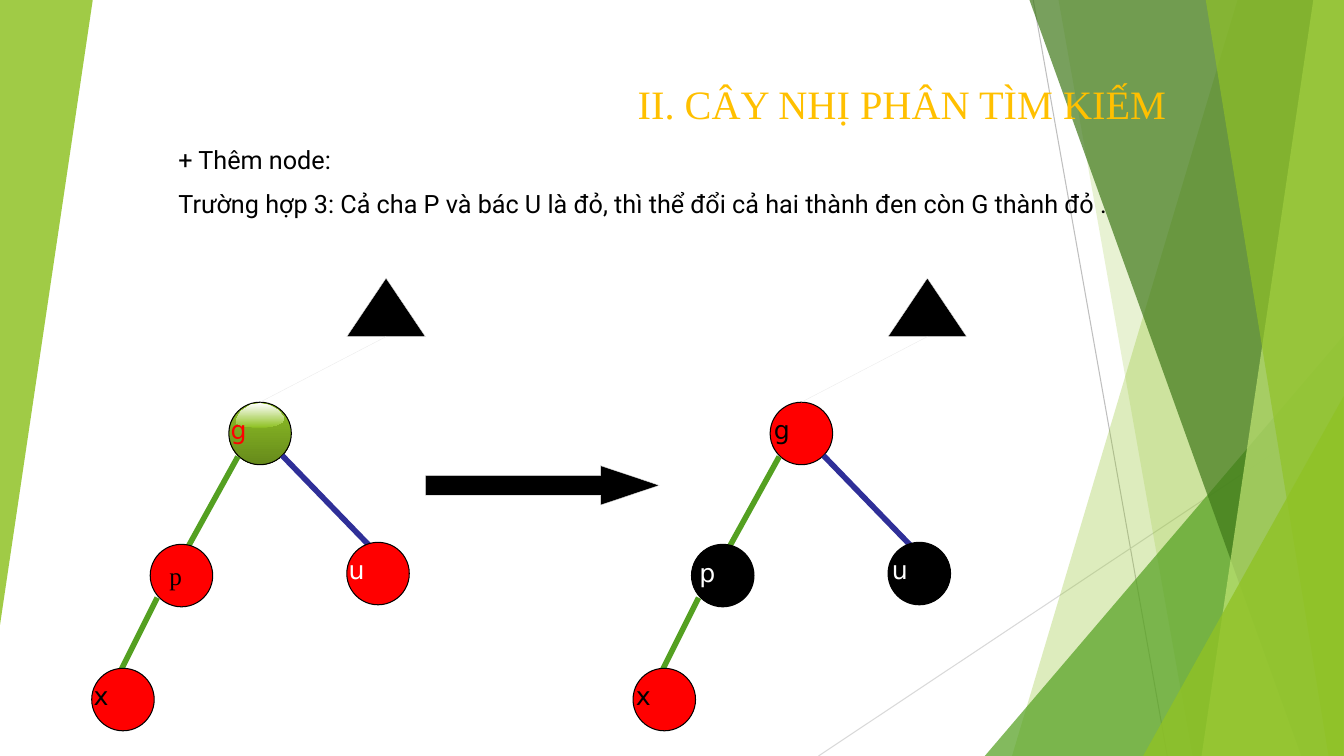
import dataclasses

import lxml.etree
import pptx
import pptx.dml.color
import pptx.enum.shapes
import pptx.enum.text
import pptx.oxml.ns
import pptx.util

WIDTH, HEIGHT = pptx.util.Inches(13.333), pptx.util.Inches(7.5)
COLUMNS, ROWS = 133.33, 75
NODE_SIZE = 6.2
TREE_STEP = 53.7
PRESET = pptx.enum.shapes.MSO_SHAPE
ALIGN = pptx.enum.text.PP_ALIGN
ANCHOR = pptx.enum.text.MSO_ANCHOR
GLOSS = [(0.7, 1.8), (1.2, 0.9), (2.2, 0.25), (3.1, 0.1), (4, 0.3),
         (4.9, 0.8), (5.5, 1.6), (5.3, 2), (4.7, 2.3), (3.7, 2.5),
         (2.4, 2.5), (1.4, 2.35), (0.8, 2.1)]


@dataclasses.dataclass(frozen=True)
class Theme:
    lime: str = "90C226"
    olive: str = "668A1B"
    green: str = "54A021"
    forest: str = "3F7819"
    pale: str = "C0E474"
    blue: str = "2F2F98"
    gold: str = "FFC000"
    red: str = "FF0000"
    black: str = "000000"
    white: str = "FFFFFF"
    faint: str = "EBEBEB"
    gray: str = "BFBFBF"
    silver: str = "D9D9D9"
    serif: str = "Times New Roman"
    body: str = "Roboto"
    label: str = "DejaVu Sans"
    title_size: float = 28.8
    text_size: float = 18
    edge_width: float = 4
    outline: float = 0.75
    hairline: float = 0.25


THEME = Theme()


def col(n):
    return round(WIDTH * n / COLUMNS)


def row(n):
    return round(HEIGHT * n / ROWS)


def box(left, top, width, height):
    return col(left), row(top), col(width), row(height)


def rgb(value):
    return pptx.dml.color.RGBColor.from_string(value)


def paint(shape, fill, line=None, line_width=THEME.outline, opacity=100):
    shape.shadow.inherit = False
    if isinstance(fill, tuple):
        shape.fill.gradient()
        shape.fill.gradient_angle = 270
        for stop, color, position in zip(shape.fill.gradient_stops, fill, (0, 1)):
            stop.color.rgb = rgb(color)
            stop.position = position
    else:
        shape.fill.solid()
        shape.fill.fore_color.rgb = rgb(fill)
    if opacity < 100:
        color = shape._element.spPr.find(".//" + pptx.oxml.ns.qn("a:srgbClr"))
        lxml.etree.SubElement(color, pptx.oxml.ns.qn("a:alpha")).set("val", str(opacity * 1000))
    if line:
        shape.line.color.rgb = rgb(line)
        shape.line.width = pptx.util.Pt(line_width)
    else:
        shape.line.fill.background()


def add_preset(shapes, kind, place, fill, adjustments=(), **look):
    shape = shapes.add_shape(kind, *box(*place))
    for index, value in enumerate(adjustments):
        shape.adjustments[index] = value
    paint(shape, fill, **look)
    return shape


def add_polygon(shapes, points, fill, **look):
    corners = [(col(x), row(y)) for x, y in points]
    builder = shapes.build_freeform(*corners[0], scale=1.0)
    builder.add_line_segments(corners[1:], close=True)
    paint(builder.convert_to_shape(), fill, **look)


def add_line(shapes, start, end, color, width):
    line = shapes.add_connector(pptx.enum.shapes.MSO_CONNECTOR.STRAIGHT,
                                col(start[0]), row(start[1]), col(end[0]), row(end[1]))
    line.line.color.rgb = rgb(color)
    line.line.width = pptx.util.Pt(width)
    lxml.etree.SubElement(line._element.spPr, pptx.oxml.ns.qn("a:effectLst"))
    return line


def add_run(paragraph, text, font, size, color):
    run = paragraph.add_run()
    run.text = text
    run.font.name = font
    run.font.size = pptx.util.Pt(size)
    run.font.color.rgb = rgb(color)


def add_node(shapes, place, fill, gloss, letter, color, label_shift):
    left, top = place
    node = add_preset(shapes, PRESET.OVAL, (left, top, NODE_SIZE, NODE_SIZE), fill, line=THEME.black)
    add_polygon(shapes, [(left + x, top + y) for x, y in GLOSS], gloss)
    if label_shift is None:
        frame, font = node.text_frame, THEME.serif
        frame.word_wrap = False
        frame.vertical_anchor = ANCHOR.MIDDLE
    else:
        frame = shapes.add_textbox(*box(left + label_shift, top + 0.75, 7, 4.3)).text_frame
        font = THEME.label
        frame.word_wrap = True
    frame.paragraphs[0].alignment = ALIGN.LEFT
    add_run(frame.paragraphs[0], letter, font, THEME.text_size, color)
    return node


def add_tree(slide, shift, g, p, x, u):
    shapes = slide.shapes.add_group_shape().shapes
    grandparent = add_node(shapes, (22.7 + shift, 39.9), *g)
    for start, end, color in (((28, 45.2), (37.1, 54.6), THEME.blue),
                              ((23.6, 45.3), (18.3, 54.9), THEME.green),
                              ((15.6, 59.3), (11.7, 67.1), THEME.green)):
        add_line(shapes, (start[0] + shift, start[1]), (end[0] + shift, end[1]),
                 color, THEME.edge_width)
    add_node(shapes, (14.9 + shift, 54), *p)
    add_node(shapes, (9.1 + shift, 66.3), *x)
    add_node(shapes, (34.4 + shift, 53.8), *u)
    add_preset(shapes, PRESET.ISOSCELES_TRIANGLE, (34.4 + shift, 27.6, 7.8, 5.8),
               THEME.black, line=THEME.faint, line_width=THEME.hairline)
    stem = add_line(shapes, (38.3 + shift, 33.4), (25.8 + shift, 39.9), THEME.faint, THEME.hairline)
    stem.end_connect(grandparent, 0)


def add_backdrop(slide):
    shapes = slide.shapes.add_group_shape().shapes
    right, top, bottom = COLUMNS, -0.1, ROWS

    def band(upper, lower, color, opacity):
        add_polygon(shapes, [(upper, top), (right, top), (right, bottom), (lower, bottom)],
                    color, opacity=opacity)

    def wedge(place, color, opacity):
        return add_preset(shapes, PRESET.ISOSCELES_TRIANGLE, place, color, (1,), opacity=opacity)

    add_line(shapes, (102.5, 0), (115.8, bottom), THEME.gray, THEME.outline)
    add_line(shapes, (right, 40.3), (81.2, bottom), THEME.silver, THEME.outline)
    band(122.8, 100.4, THEME.lime, 30)
    band(105, 118.3, THEME.lime, 20)
    wedge((97.7, 33.3, 35.6, 41.7), THEME.green, 72)
    band(102.1, 129.1, THEME.forest, 70)
    band(130.3, 119.2, THEME.pale, 70)
    band(119.6, 131.8, THEME.lime, 65)
    wedge((113.4, 39.3, 19.9, 35.7), THEME.lime, 80)
    wedge((0, 0, 9.2, 62), THEME.lime, 85).rotation = 180


def fill_placeholder(slide, holder, place, lines, font, size, color, align, anchor, before):
    slide.shapes._spTree.append(holder._element)
    holder.left, holder.top, holder.width, holder.height = box(*place)
    frame = holder.text_frame
    frame.word_wrap = True
    frame.auto_size = pptx.enum.text.MSO_AUTO_SIZE.NONE
    frame.vertical_anchor = anchor
    for index, text in enumerate(lines):
        paragraph = frame.add_paragraph() if index else frame.paragraphs[0]
        paragraph.alignment = align
        paragraph.space_before = pptx.util.Pt(before)
        add_run(paragraph, text, font, size, color)


def main():
    deck = pptx.Presentation()
    deck.slide_width, deck.slide_height = WIDTH, HEIGHT
    slide = deck.slides.add_slide(deck.slide_layouts[0])
    heading, explanation = slide.placeholders
    t = THEME
    add_backdrop(slide)
    fill_placeholder(slide, heading, (16.7, 7.6, 100, 5.6), ["II. CÂY NHỊ PHÂN TÌM KIẾM"],
                     t.serif, t.title_size, t.gold, ALIGN.RIGHT, ANCHOR.BOTTOM, 0)
    fill_placeholder(slide, explanation, (16.7, 13.8, 100, 48.9),
                     ["+ Thêm node:",
                      "Trường hợp 3: Cả cha P và bác U là đỏ, thì thể đổi cả hai thành đen còn G thành đỏ ."],
                     t.body, t.text_size, t.black, ALIGN.LEFT, ANCHOR.TOP, 10)
    add_tree(slide, 0,
             g=((t.lime, t.olive), (t.white, t.lime), "g", t.red, -0.8),
             p=(t.red, t.red, "p", t.black, None),
             x=(t.red, t.red, "x", t.black, -0.8),
             u=(t.red, t.red, "u", t.white, -0.8))
    add_tree(slide, TREE_STEP,
             g=(t.red, t.red, "g", t.black, -0.6),
             p=(t.black, t.black, "p", t.white, -0.2),
             x=(t.red, t.red, "x", t.black, -0.7),
             u=(t.black, t.black, "u", t.white, -0.6))
    add_preset(slide.shapes, PRESET.RIGHT_ARROW, (42.2, 46.2, 23.2, 3.9), t.black, (0.5, 1.49),
               line=t.faint, line_width=t.hairline)
    deck.save("out.pptx")


if __name__ == "__main__":
    main()
